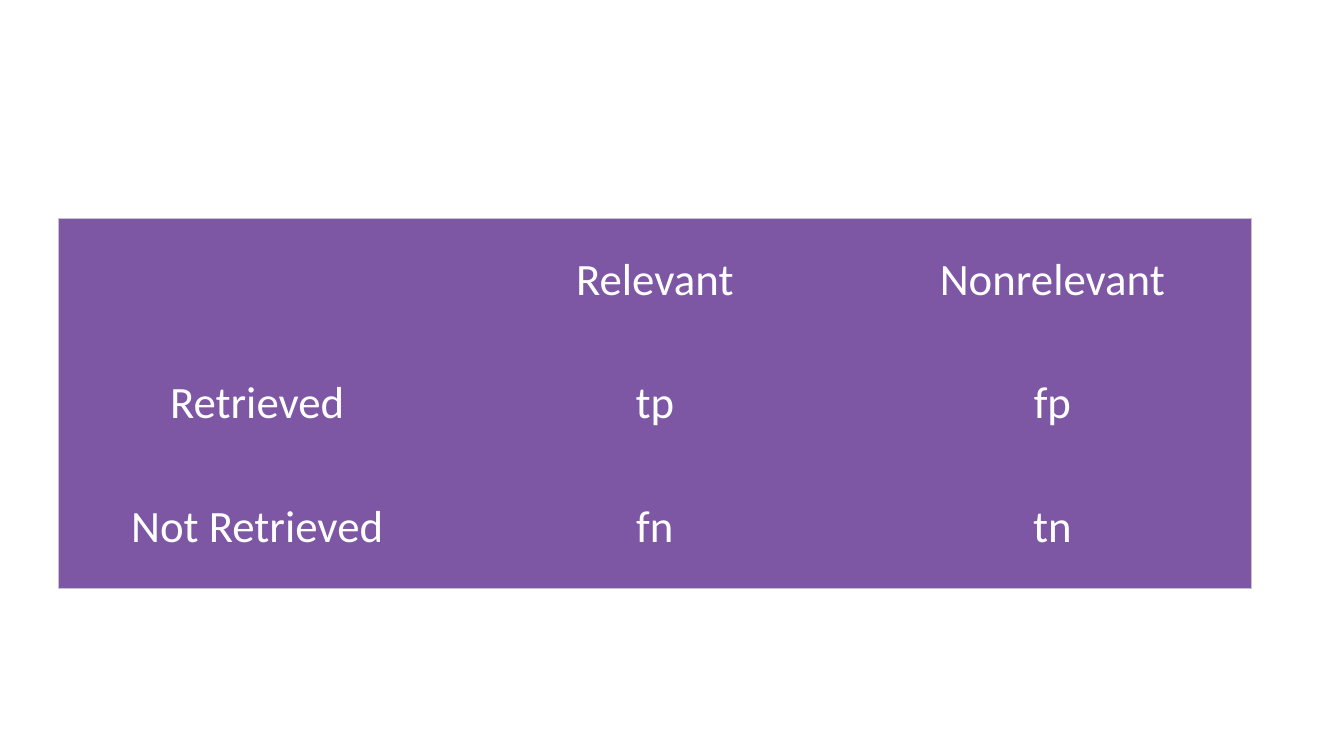
from lxml.etree import SubElement
from pptx import Presentation
from pptx.dml.color import RGBColor
from pptx.enum.text import MSO_ANCHOR, PP_ALIGN
from pptx.oxml.ns import qn
from pptx.util import Inches, Pt

# Content
ROWS = [
    ["", "Relevant", "Nonrelevant"],
    ["Retrieved", "tp", "fp"],
    ["Not Retrieved", "fn", "tn"],
]
PURPLE, EDGE, WHITE = "7D57A4", "C8C1D3", "FFFFFF"
LEFT, TOP, WIDTH, HEIGHT = 0.58, 2.17, 11.83, 3.67


def color(value):
    return RGBColor.from_string(value)


def write(cell, text, size=32, font="Calibri", fill=WHITE):
    p = cell.text_frame.paragraphs[0]
    p.alignment = PP_ALIGN.CENTER
    if text:
        r = p.add_run()
        r.text = text
        r.font.size = Pt(size)
        r.font.name = font
        r.font.bold = False
        r.font.color.rgb = color(fill)
    cell.vertical_anchor = MSO_ANCHOR.MIDDLE


def set_borders(cell, sides):
    """Draw the sides marked True and hide the others."""
    tc_pr = cell._tc.get_or_add_tcPr()
    for tag, shown in sides.items():
        ln = SubElement(tc_pr, qn(f"a:{tag}"), w=str(Pt(0.75)))
        if shown:
            fill = SubElement(ln, qn("a:solidFill"))
            SubElement(fill, qn("a:srgbClr"), val=EDGE)
        else:
            SubElement(ln, qn("a:noFill"))


prs = Presentation()
prs.slide_width, prs.slide_height = Inches(13.33), Inches(7.5)
s = prs.slides.add_slide(prs.slide_layouts[6])

# Confusion matrix
n_rows, n_cols = len(ROWS), len(ROWS[0])
table = s.shapes.add_table(n_rows, n_cols, Inches(LEFT), Inches(TOP),
                           Inches(WIDTH), Inches(HEIGHT)).table
table.first_row = table.horz_banding = False

for i, row in enumerate(ROWS):
    for j, text in enumerate(row):
        cell = table.cell(i, j)
        write(cell, text)
        # Only the outer frame is visible
        set_borders(cell, {"lnL": j == 0, "lnR": j == n_cols - 1,
                           "lnT": i == 0, "lnB": i == n_rows - 1})
        cell.fill.solid()
        cell.fill.fore_color.rgb = color(PURPLE)

prs.save("out.pptx")
